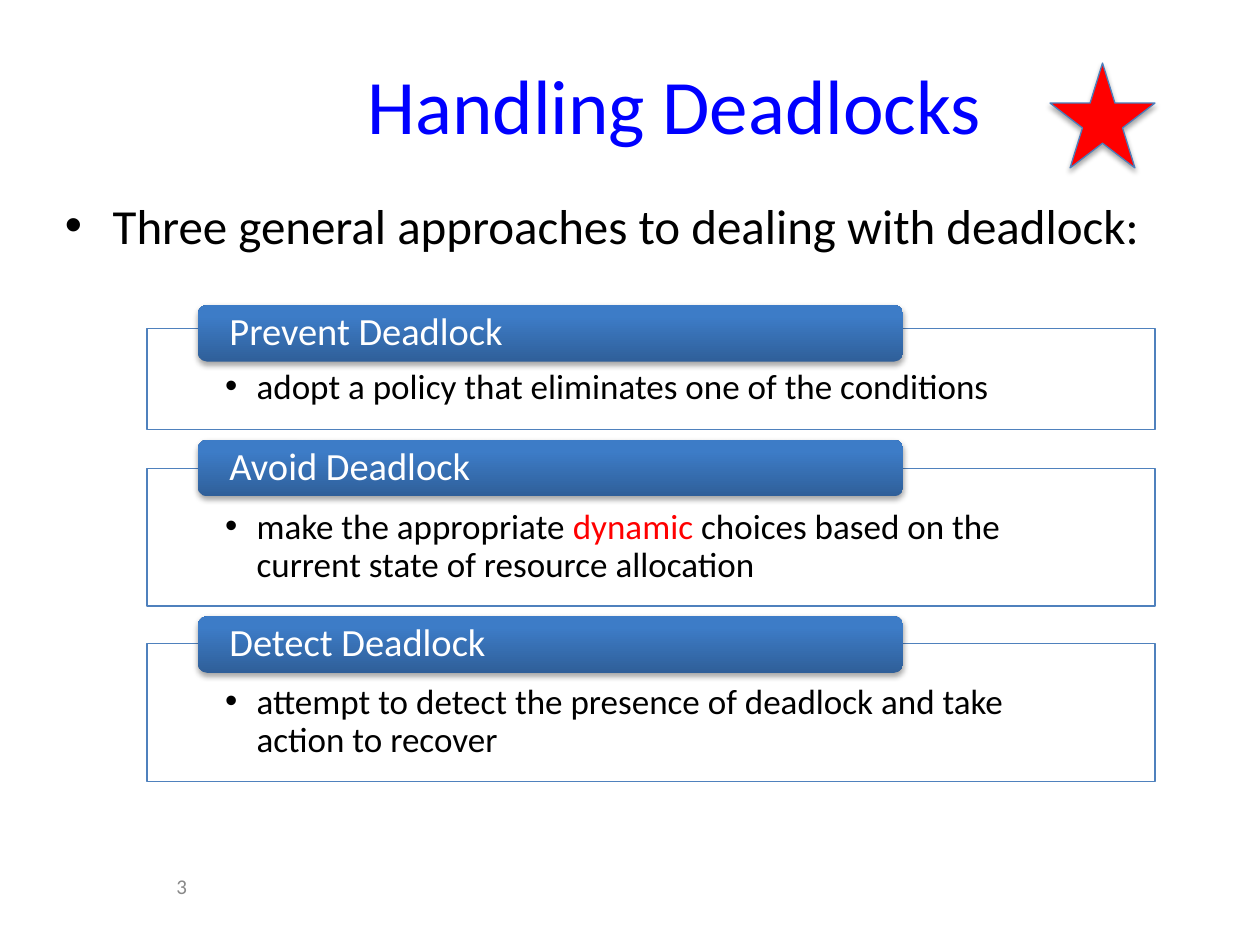
import pptx
import pptx.util
import pptx.dml.color
import pptx.enum.shapes
import pptx.enum.text
import pptx.oxml
import pptx.oxml.ns

SHAPE = pptx.enum.shapes.MSO_SHAPE
ALIGN = pptx.enum.text.PP_ALIGN
ANCHOR = pptx.enum.text.MSO_ANCHOR
COLS, ROWS = 120, 90
WIDTH, HEIGHT = pptx.util.Inches(10), pptx.util.Inches(7.5)
BLUE, RED, BLACK, WHITE = "4F81BD", "FF0000", "000000", "FFFFFF"

APPROACHES = [
    (29.04, 31.32, 9.6, "Prevent Deadlock",
     [("adopt a policy that eliminates one of the conditions", BLACK)]),
    (41.88, 44.64, 13.08, "Avoid Deadlock",
     [("make the appropriate ", BLACK), ("dynamic", RED),
      (" choices based on the current state of resource allocation", BLACK)]),
    (58.68, 61.32, 13.08, "Detect Deadlock",
     [("attempt to detect the presence of deadlock and take action to recover", BLACK)]),
]


def rgb(value):
    return pptx.dml.color.RGBColor.from_string(value)


def grid(col, row, cols, rows):
    x, y = WIDTH / COLS, HEIGHT / ROWS
    return [round(v) for v in (col * x, row * y, cols * x, rows * y)]


def add_shape(s, kind, box, fill=None, line=None):
    sp = s.shapes.add_shape(kind, *grid(*box))
    sp.shadow.inherit = False
    if fill:
        sp.fill.solid()
        sp.fill.fore_color.rgb = rgb(fill)
    if line:
        sp.line.color.rgb = rgb(line)
        sp.line.width = pptx.util.Pt(0.75)
    else:
        sp.line.fill.background()
    return sp


def add_shadow(sp):
    effects = sp._element.spPr.find(pptx.oxml.ns.qn("a:effectLst"))
    effects.append(pptx.oxml.parse_xml(
        f'<a:outerShdw {pptx.oxml.ns.nsdecls("a")} blurRad="39370" dist="22860" '
        'dir="5400000" rotWithShape="0"><a:srgbClr val="000000">'
        '<a:alpha val="35000"/></a:srgbClr></a:outerShdw>'))


def add_bullet(p, indent):
    pPr = p._p.get_or_add_pPr()
    pPr.set("marL", str(pptx.util.Inches(indent)))
    pPr.set("indent", str(-pptx.util.Inches(indent)))
    for tag in ('buFont {} typeface="Arial"', 'buChar {} char="•"'):
        pPr.append(pptx.oxml.parse_xml(
            "<a:" + tag.format(pptx.oxml.ns.nsdecls("a")) + "/>"))


def write(sp, parts, size, align=ALIGN.LEFT, anchor=ANCHOR.TOP,
          insets=(0.1, 0.05), indent=None, spacing=None):
    tf = sp.text_frame
    tf.word_wrap = True
    tf.vertical_anchor = anchor
    tf.margin_left = tf.margin_right = pptx.util.Inches(insets[0])
    tf.margin_top = tf.margin_bottom = pptx.util.Inches(insets[1])
    p = tf.paragraphs[0]
    p.alignment = align
    if spacing:
        p.line_spacing = spacing
    if indent:
        add_bullet(p, indent)
    for text, color in parts:
        r = p.add_run()
        r.text = text
        r.font.name = "Calibri"
        r.font.size = pptx.util.Pt(size)
        r.font.color.rgb = rgb(color)


def add_text(s, box, text, size, color, **style):
    sp = s.shapes.add_textbox(*grid(*box))
    write(sp, [(text, color)], size, **style)


def add_approach(s, head_row, body_row, body_rows, heading, parts):
    body = add_shape(s, SHAPE.RECTANGLE, (14, body_row, 96, body_rows), WHITE, BLUE)
    write(body, parts, 20, insets=(0.62, 0.16), indent=0.25, spacing=0.9)
    body.text_frame.margin_top = pptx.util.Inches(0.32)

    head = add_shape(s, SHAPE.ROUNDED_RECTANGLE, (18.84, head_row, 67.2, 5.4))
    head.fill.gradient()
    head.fill.gradient_angle = 90
    stops = zip(head.fill.gradient_stops, ("2F5F99", "3D7CC7"), (0, 0.8))
    for stop, color, position in stops:
        stop.color.rgb = rgb(color)
        stop.position = position
    add_shadow(head)
    write(head, [(heading, WHITE)], 22, anchor=ANCHOR.MIDDLE,
          insets=(0.23, 0), spacing=0.9)


def main():
    prs = pptx.Presentation()
    prs.slide_width, prs.slide_height = WIDTH, HEIGHT
    s = prs.slides.add_slide(prs.slide_layouts[6])
    add_text(s, (14.5, 2.75, 99.5, 14.2), "Handling Deadlocks", 44, "0000FF",
             align=ALIGN.CENTER, anchor=ANCHOR.MIDDLE)
    add_text(s, (5, 18, 109, 10), "Three general approaches to dealing with deadlock:",
             28, BLACK, indent=0.38)
    for approach in APPROACHES:
        add_approach(s, *approach)
    star = add_shape(s, SHAPE.STAR_5_POINT, (100, 6, 10, 10), RED, "4B7EBC")
    add_shadow(star)
    add_text(s, (3, 82, 16, 4.8), "3", 12, "898989",
             align=ALIGN.RIGHT, anchor=ANCHOR.MIDDLE)
    prs.save("out.pptx")


if __name__ == "__main__":
    main()
